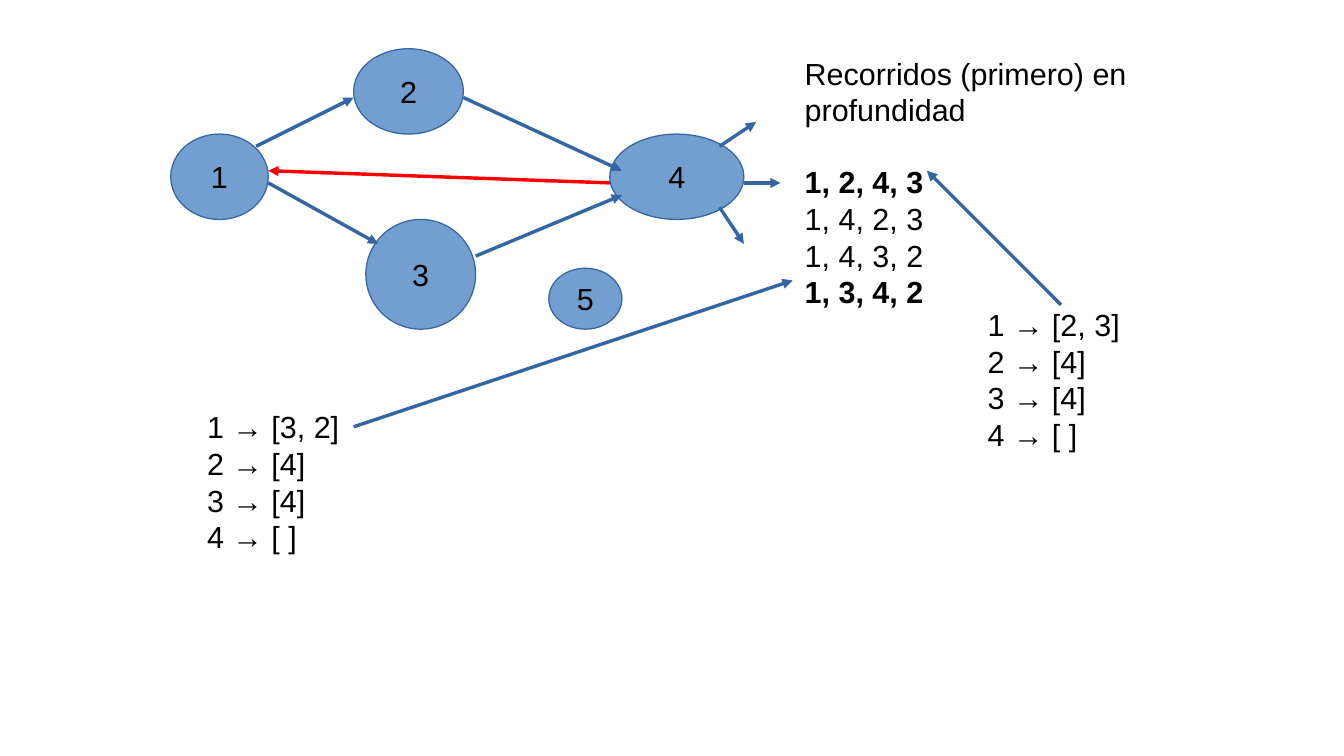
from lxml import etree
from pptx import Presentation
from pptx.dml.color import RGBColor
from pptx.enum.shapes import MSO_CONNECTOR as Connector, MSO_SHAPE as Shape
from pptx.enum.text import MSO_ANCHOR as Anchor, PP_ALIGN as Align
from pptx.oxml.ns import qn
from pptx.util import Inches, Pt

CELL = 0.1  # inches per grid step
BLUE, EDGE, RED, BLACK = "729FCF", "3465A4", "FF0000", "000000"

# Boxes are column, row, columns wide, rows high within the region.
NODES = {
    "1": (0, 7, 8, 7),
    "2": (15, 0, 9, 7),
    "3": (16, 14, 9, 9),
    "4": (36, 7, 11, 7),
    "5": (31, 18, 6, 5),
}
# Arrows are start column, row, end column, row within the region.
EDGES = [
    (7, 8, 15, 4), (8, 11, 17, 16), (24, 4, 37, 10), (25, 17, 37, 12),
    (45, 8, 48, 6), (45, 13, 47, 16), (47, 11, 50, 11),
]
BACK_EDGE = (36, 11, 8, 10)
ROUTES = [("1, 2, 4, 3", True), ("1, 4, 2, 3", False),
          ("1, 4, 3, 2", False), ("1, 3, 4, 2", True)]


def grid(steps):
    return Inches(round(steps * CELL, 2))


def color(code):
    return RGBColor.from_string(code)


def add_text(para, text, bold=False):
    span = para.add_run()
    span.text = text
    span.font.name, span.font.size, span.font.bold = "Arial", Pt(18), bold
    span.font.color.rgb = color(BLACK)


def add_lines(page, box, lines):
    """Write (text, bold) lines in a text box and return its paragraphs."""
    frame = page.shapes.add_textbox(*map(grid, box)).text_frame
    frame.word_wrap = True
    paras = []
    for number, (text, bold) in enumerate(lines):
        para = frame.add_paragraph() if number else frame.paragraphs[0]
        add_text(para, text, bold)
        paras.append(para)
    return paras


def add_arrow(page, ends, code=EDGE):
    arrow = page.shapes.add_connector(Connector.STRAIGHT, *map(grid, ends))
    arrow.line.color.rgb = color(code)
    arrow.line.width = 0
    props = arrow.element.spPr
    etree.SubElement(props.find(qn("a:ln")), qn("a:tailEnd"), type="triangle")
    etree.SubElement(props, qn("a:effectLst"))


def add_node(page, box, label):
    node = page.shapes.add_shape(Shape.OVAL, *map(grid, box))
    node.shadow.inherit = False
    node.fill.solid()
    node.fill.fore_color.rgb = color(BLUE)
    node.line.color.rgb = color(EDGE)
    node.line.width = 0
    frame = node.text_frame
    frame.word_wrap = False
    frame.vertical_anchor = Anchor.MIDDLE
    frame.paragraphs[0].alignment = Align.CENTER
    add_text(frame.paragraphs[0], label)


def add_graph(page, left, top):
    for label, (col, row, wide, high) in NODES.items():
        add_node(page, (left + col, top + row, wide, high), label)
    for ends, code in [(edge, EDGE) for edge in EDGES] + [(BACK_EDGE, RED)]:
        x1, y1, x2, y2 = ends
        add_arrow(page, (left + x1, top + y1, left + x2, top + y2), code)


def add_routes(page, box):
    title = ("Recorridos (primero) en profundidad", False)
    paras = add_lines(page, box, [title] + ROUTES)
    paras[0].space_after = Pt(21)


def add_adjacency(page, box, first, arrow):
    """List each node's neighbours and point from the list to its route."""
    neighbours = [first, "[4]", "[4]", "[ ]"]
    add_lines(page, box, [(f"{node} → {ends}", False)
                          for node, ends in enumerate(neighbours, 1)])
    left, top = box[:2]
    x1, y1, x2, y2 = arrow
    add_arrow(page, (left + x1, top + y1, left + x2, top + y2))


def main():
    deck = Presentation()
    deck.slide_width, deck.slide_height = Inches(11.02), Inches(6.2)
    page = deck.slides.add_slide(deck.slide_layouts[6])
    add_graph(page, 14, 4)
    add_routes(page, (65, 4, 38, 20.6))
    add_adjacency(page, (16, 33, 22, 12.2), "[3, 2]", (13, 2, 49, -10))
    add_adjacency(page, (80, 24.6, 22, 12.2), "[2, 3]", (7, 0.4, -4, -10.6))
    deck.save("out.pptx")


if __name__ == "__main__":
    main()
